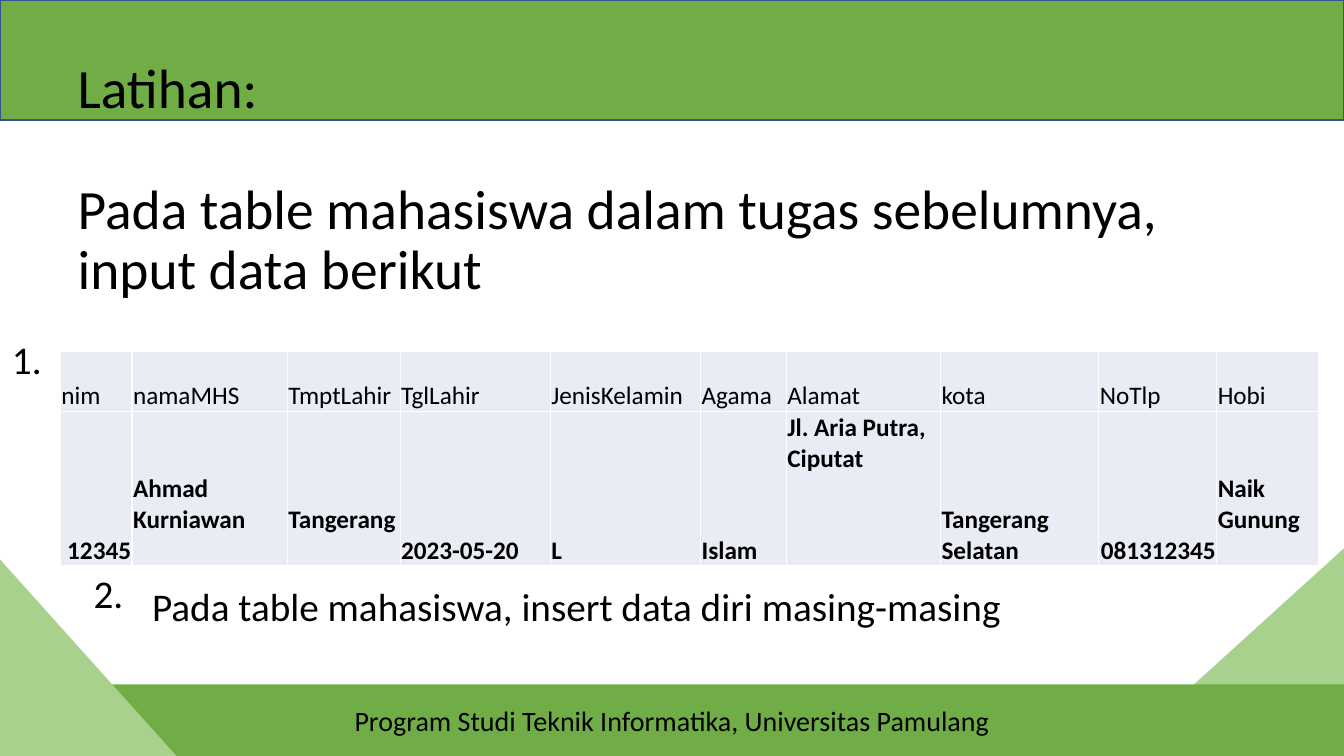
from lxml import etree
from pptx import Presentation
from pptx.dml.color import RGBColor
from pptx.enum.shapes import MSO_SHAPE as SHAPE
from pptx.enum.text import MSO_ANCHOR as ANCHOR, MSO_AUTO_SIZE as AUTO, PP_ALIGN as ALIGN
from pptx.oxml.ns import qn
from pptx.util import Inches, Pt

BLACK = RGBColor(0x00, 0x00, 0x00)
WHITE = RGBColor(0xFF, 0xFF, 0xFF)
GREEN = RGBColor(0x70, 0xAD, 0x47)
LIGHT_GREEN = RGBColor(0xA9, 0xD1, 0x8E)
NAVY = RGBColor(0x32, 0x54, 0x91)
CELL_FILL = RGBColor(0xE9, 0xEB, 0xF5)
FONT = "Calibri"
TEXT_LINE = 0.305

STUDENT = [
    ("nim", "12345", 0.71, 0),
    ("namaMHS", "Ahmad Kurniawan", 1.54, 1),
    ("TmptLahir", "Tangerang", 1.12, 1),
    ("TglLahir", "2023-05-20", 1.49, 0),
    ("JenisKelamin", "L", 1.49, 0),
    ("Agama", "Islam", 0.85, 0),
    ("Alamat", "Jl. Aria Putra, Ciputat", 1.53, 3),
    ("kota", "Tangerang Selatan", 1.57, 0),
    ("NoTlp", "081312345", 1.17, 0),
    ("Hobi", "Naik Gunung", 1.01, 1),
]


def box(left, top, width, height):
    return [Inches(v) for v in (left, top, width, height)]


def style(p, size, align=ALIGN.LEFT, bold=False):
    p.alignment = align
    for r in p.runs:
        r.font.name = FONT
        r.font.size = Pt(size)
        r.font.bold = bold
        r.font.color.rgb = BLACK


def add_panel(s, kind, place, fill, line=None, rotation=0):
    sp = s.shapes.add_shape(kind, *box(*place))
    sp.shadow.inherit = False
    sp.rotation = rotation
    sp.fill.solid()
    sp.fill.fore_color.rgb = fill
    if line is None:
        sp.line.fill.background()
    else:
        sp.line.color.rgb = line
        sp.line.width = Pt(1)
    return sp


def add_text(s, place, text):
    tf = s.shapes.add_textbox(*box(*place)).text_frame
    tf.word_wrap = True
    tf.auto_size = AUTO.SHAPE_TO_FIT_TEXT
    tf.text = text
    style(tf.paragraphs[0], 28)


def set_title(s):
    title = s.shapes.title
    title.left, title.top, title.width, title.height = box(0.67, 1.37, 11.99, 1.45)
    s.shapes.element.append(title.element)
    tf = title.text_frame
    tf.word_wrap = True
    tf.auto_size = AUTO.NONE
    tf.vertical_anchor = ANCHOR.MIDDLE
    tf.margin_left = tf.margin_right = Inches(0.1)
    tf.margin_top = Inches(0.05)
    tf.margin_bottom = Inches(0.65)
    tf.text = "Latihan:\nPada table mahasiswa dalam tugas sebelumnya, input data berikut"
    for p in tf.paragraphs:
        p.line_spacing = 0.9
        p.space_before = p.space_after = Pt(0)
        style(p, 39.6)
    tf.paragraphs[1].space_before = Pt(43.5)


def add_borders(cell):
    tcPr = cell._tc.get_or_add_tcPr()
    for i, side in enumerate(("lnL", "lnR", "lnT", "lnB")):
        ln = etree.Element(qn(f"a:{side}"), w=str(Pt(1)))
        fill = etree.SubElement(ln, qn("a:solidFill"))
        etree.SubElement(fill, qn("a:srgbClr"), val=str(WHITE))
        tcPr.insert(i, ln)


def fill_cell(cell, text, lift=0, align=ALIGN.LEFT, bold=False):
    cell.text = text
    cell.vertical_anchor = ANCHOR.BOTTOM
    cell.margin_left = cell.margin_right = cell.margin_top = Inches(0.01)
    cell.margin_bottom = Inches(lift * TEXT_LINE)
    cell.fill.solid()
    cell.fill.fore_color.rgb = CELL_FILL
    add_borders(cell)
    style(cell.text_frame.paragraphs[0], 18, align, bold)


def add_student_table(s):
    table = s.shapes.add_table(2, len(STUDENT), *box(0.6, 3.49, 12.49, 1.2)).table
    table.first_row = table.horz_banding = False
    table.rows[0].height = Inches(0.59)
    table.rows[1].height = Inches(0.41)
    for i, (field, value, width, lift) in enumerate(STUDENT):
        table.columns[i].width = Inches(width)
        align = ALIGN.RIGHT if value.isdigit() else ALIGN.LEFT
        fill_cell(table.cell(0, i), field)
        fill_cell(table.cell(1, i), value, lift, align, bold=True)


def main():
    prs = Presentation()
    prs.slide_width, prs.slide_height = Inches(13.33), Inches(7.5)
    s = prs.slides.add_slide(prs.slide_layouts[5])

    add_panel(s, SHAPE.RIGHT_TRIANGLE, (11.17, 5.33, 2.06, 2.27), LIGHT_GREEN, rotation=270)
    footer = add_panel(s, SHAPE.RECTANGLE, (0, 6.79, 13.33, 0.71), GREEN)
    footer.text_frame.text = "Program Studi Teknik Informatika, Universitas Pamulang"
    footer.text_frame.vertical_anchor = ANCHOR.MIDDLE
    style(footer.text_frame.paragraphs[0], 20, ALIGN.CENTER)
    add_panel(s, SHAPE.RIGHT_TRIANGLE, (0, 5.55, 1.75, 1.95), LIGHT_GREEN)
    add_panel(s, SHAPE.RECTANGLE, (0, 0, 13.33, 1.19), GREEN, line=NAVY)

    set_title(s)
    add_student_table(s)
    add_text(s, (1.41, 5.73, 10.51, 0.57), "Pada table mahasiswa, insert data diri masing-masing")
    add_text(s, (0.02, 3.28, 0.65, 0.57), "1.")
    add_text(s, (0.83, 5.6, 0.65, 0.57), "2.")
    prs.save("out.pptx")


if __name__ == "__main__":
    main()
